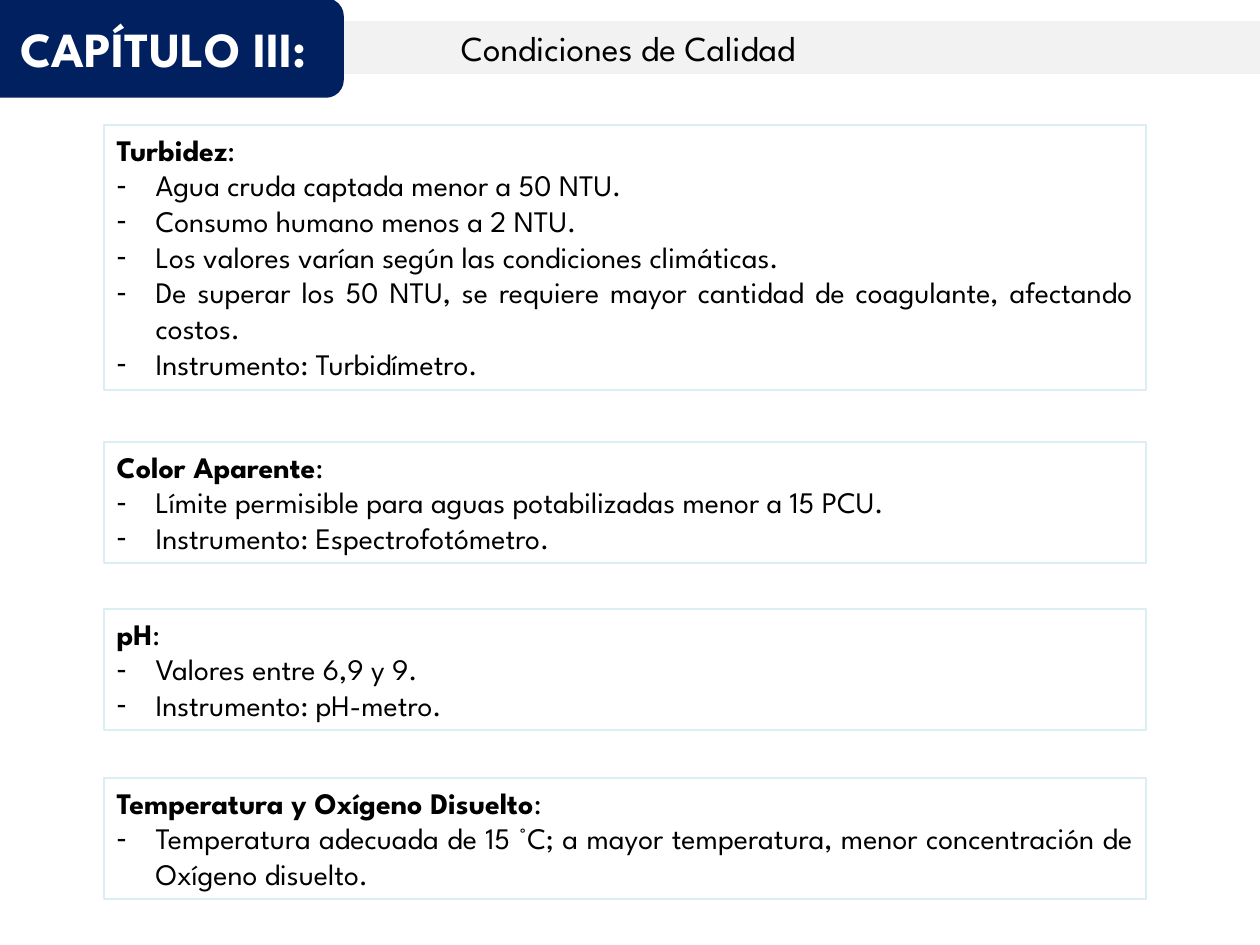
from lxml.etree import SubElement
from pptx import Presentation
from pptx.dml.color import RGBColor
from pptx.enum.shapes import MSO_SHAPE
from pptx.enum.text import MSO_ANCHOR, MSO_AUTO_SIZE, PP_ALIGN
from pptx.oxml.ns import qn
from pptx.util import Pt

EMU_PER_PX = 914400 / 126
FONT = "League Spartan"
COMPARISON_LAYOUT = 4  # a title and four body placeholders
NAVY, PALE_GREY, PALE_BLUE = "002060", "F2F2F2", "DBEEF4"
BLACK, WHITE = "000000", "FFFFFF"
BOX_LEFT, BOX_WIDTH = 104, 1042
BULLET_INDENT = 39

SECTIONS = [
    (125, 265, "Turbidez", [
        "Agua cruda captada menor a 50 NTU.",
        "Consumo humano menos a 2 NTU.",
        "Los valores varían según las condiciones climáticas.",
        "De superar los 50 NTU, se requiere mayor cantidad de coagulante, afectando costos.",
        "Instrumento: Turbidímetro.",
    ]),
    (442, 121, "Color Aparente", [
        "Límite permisible para aguas potabilizadas menor a 15 PCU.",
        "Instrumento: Espectrofotómetro.",
    ]),
    (609, 121, "pH", [
        "Valores entre 6,9 y 9.",
        "Instrumento: pH-metro.",
    ]),
    (778, 121, "Temperatura y Oxígeno Disuelto", [
        "Temperatura adecuada de 15 °C; a mayor temperatura, "
        "menor concentración de Oxígeno disuelto.",
    ]),
]


def px(length):
    return round(length * EMU_PER_PX)


def rgb(color):
    return RGBColor.from_string(color)


def place(shape, left, top, width, height):
    shape.left, shape.top = px(left), px(top)
    shape.width, shape.height = px(width), px(height)


def paint(shape, line, line_width, fill=None):
    shape.line.color.rgb = rgb(line)
    shape.line.width = Pt(line_width)
    if fill:
        shape.fill.solid()
        shape.fill.fore_color.rgb = rgb(fill)


def add_run(paragraph, text, size, color=BLACK, bold=False):
    run = paragraph.add_run()
    run.text = text
    run.font.name = FONT
    run.font.size = Pt(size)
    run.font.bold = bold
    run.font.color.rgb = rgb(color)


def format_item(paragraph, bullet=None):
    """Justify a list paragraph and give it a hanging bullet, or none."""
    paragraph.alignment = PP_ALIGN.JUSTIFY
    paragraph.space_before = Pt(0)
    indent = px(BULLET_INDENT) if bullet else 0
    properties = paragraph._p.get_or_add_pPr()
    properties.set("marL", str(indent))
    properties.set("indent", str(-indent))
    if bullet:
        SubElement(properties, qn("a:buChar"), char=bullet)
    else:
        SubElement(properties, qn("a:buNone"))


def fill_title_bar(title):
    place(title, 323, 23, 937, 49)
    paint(title, PALE_GREY, 2, PALE_GREY)
    frame = title.text_frame
    frame.auto_size = MSO_AUTO_SIZE.NONE
    frame.vertical_anchor = MSO_ANCHOR.MIDDLE
    frame.margin_left = px(138)
    paragraph = frame.paragraphs[0]
    paragraph.alignment = PP_ALIGN.LEFT
    add_run(paragraph, "Condiciones de Calidad", 20)


def add_chapter_tab(slide):
    tab = slide.shapes.add_shape(
        MSO_SHAPE.ROUNDED_RECTANGLE, px(-15), 0, px(357), px(96))
    tab.shadow.inherit = False
    paint(tab, NAVY, 2, NAVY)
    tab.text_frame.vertical_anchor = MSO_ANCHOR.MIDDLE
    paragraph = tab.text_frame.paragraphs[0]
    paragraph.alignment = PP_ALIGN.CENTER
    add_run(paragraph, "CAPÍTULO III:", 28, WHITE, bold=True)


def fill_section(body, top, height, heading, items):
    place(body, BOX_LEFT, top, BOX_WIDTH, height)
    paint(body, PALE_BLUE, 0.75)
    frame = body.text_frame
    frame.word_wrap = True
    frame.auto_size = MSO_AUTO_SIZE.NONE
    frame.vertical_anchor = MSO_ANCHOR.TOP
    first = frame.paragraphs[0]
    format_item(first)
    add_run(first, heading, 17, bold=True)
    add_run(first, ":", 17)
    for item in items:
        paragraph = frame.add_paragraph()
        format_item(paragraph, "-")
        add_run(paragraph, item, 17)


def main():
    presentation = Presentation()
    presentation.slide_width, presentation.slide_height = px(1260), px(945)
    slide = presentation.slides.add_slide(
        presentation.slide_layouts[COMPARISON_LAYOUT])
    title, *bodies = slide.placeholders
    fill_title_bar(title)
    add_chapter_tab(slide)
    for body, section in zip(bodies, SECTIONS):
        fill_section(body, *section)
    presentation.save("out.pptx")


if __name__ == "__main__":
    main()
